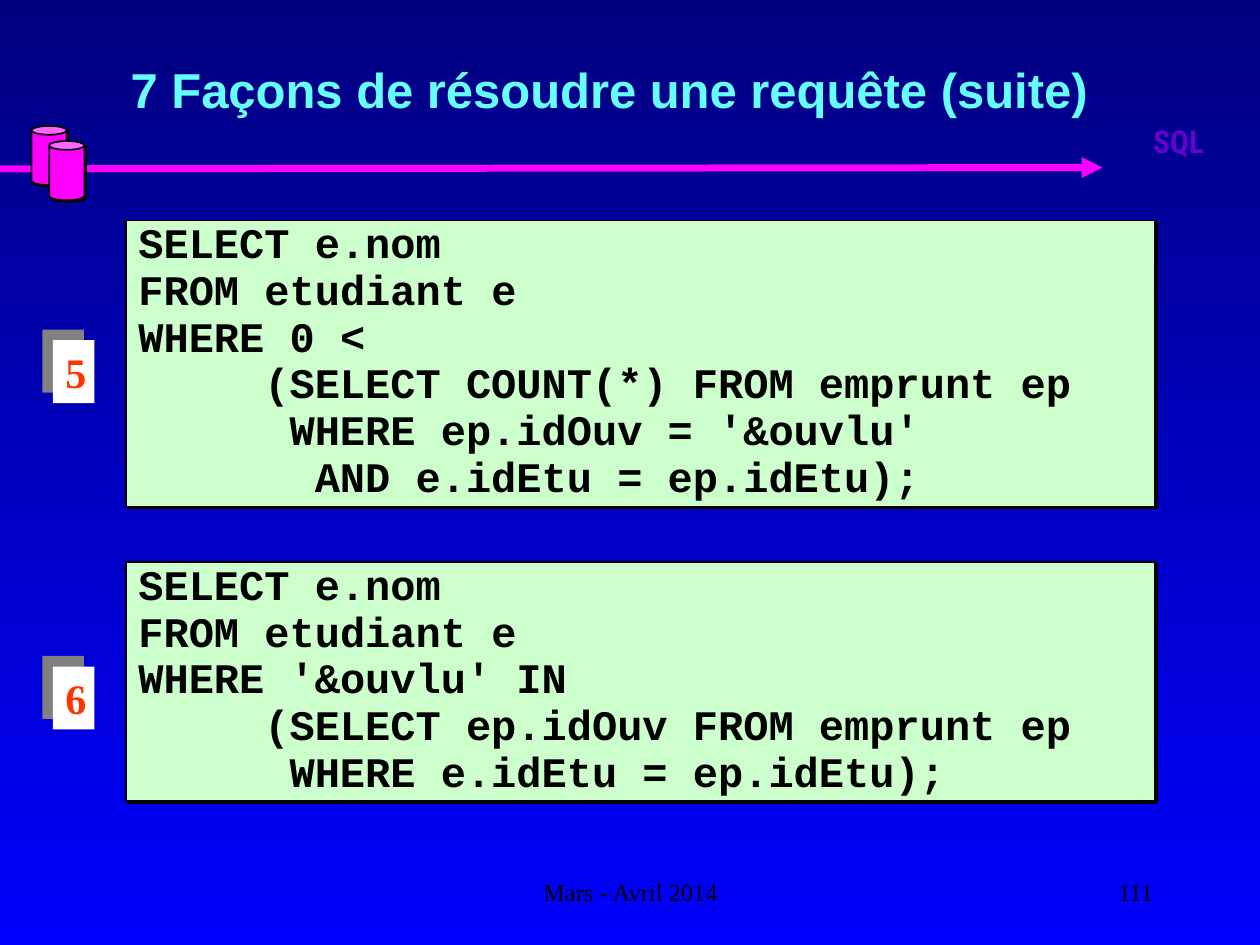
import pptx
import pptx.dml.color
import pptx.enum.shapes
import pptx.enum.text
import pptx.oxml.ns
import pptx.util
from dataclasses import dataclass
from lxml import etree

Inches = pptx.util.Inches
Pt = pptx.util.Pt
Shape = pptx.enum.shapes.MSO_SHAPE
Align = pptx.enum.text.PP_ALIGN
Anchor = pptx.enum.text.MSO_ANCHOR
qn = pptx.oxml.ns.qn


@dataclass(frozen=True)
class Theme:
    sky_top: str = "00007F"
    sky_bottom: str = "0000FF"
    magenta: str = "FF00FF"
    black: str = "000000"
    white: str = "FFFFFF"
    gray: str = "808080"
    code_fill: str = "CCFFCC"
    title: str = "66FFFF"
    number: str = "FF3300"
    tag: str = "6600CC"
    sans: str = "Arial"
    serif: str = "Times New Roman"
    mono: str = "Courier New"
    narrow: str = "Roboto Condensed"
    title_size: int = 28
    body_size: int = 24
    tag_size: int = 18
    footer_size: int = 14


def rgb(color):
    return pptx.dml.color.RGBColor.from_string(color)


class SlideBuilder:
    def __init__(self, page, theme):
        self.page = page
        self.theme = theme

    def background(self):
        fill = self.page.background.fill
        fill.gradient()
        fill.gradient_angle = 270
        colors = (self.theme.sky_top, self.theme.sky_bottom)
        for stop, color in zip(fill.gradient_stops, colors):
            stop.color.rgb = rgb(color)

    def set_text(self, box, text, size, font, color, bold=True,
                 align=Align.LEFT, anchor=Anchor.TOP):
        frame = box.text_frame
        frame.text = text
        frame.word_wrap = True
        frame.vertical_anchor = anchor
        for para in frame.paragraphs:
            para.alignment = align
            for span in para.runs:
                span.font.size = Pt(size)
                span.font.name = font
                span.font.bold = bold
                span.font.color.rgb = rgb(color)
        return frame

    def label(self, place, text, size, font, color, **options):
        box = self.page.shapes.add_textbox(*map(Inches, place))
        self.set_text(box, text, size, font, color, **options)

    def solid(self, shapes, kind, place, fill, shadow, distance, angle,
              outlined=True):
        shape = shapes.add_shape(kind, *map(Inches, place))
        shape.fill.solid()
        shape.fill.fore_color.rgb = rgb(fill)
        if outlined:
            shape.line.color.rgb = rgb(self.theme.black)
            shape.line.width = Pt(1)
        else:
            shape.line.fill.background()
        # Hard offset shadow
        shape.shadow.inherit = False
        effects = shape._element.spPr.find(qn("a:effectLst"))
        outer = etree.SubElement(effects, qn("a:outerShdw"),
                                 dist=str(Pt(distance)),
                                 dir=str(angle * 60000), algn="ctr",
                                 rotWithShape="0")
        etree.SubElement(outer, qn("a:srgbClr"), val=shadow)
        return shape

    def arrow(self, start, end):
        arrow = self.page.shapes.add_connector(
            pptx.enum.shapes.MSO_CONNECTOR.STRAIGHT,
            *map(Inches, start + end))
        arrow.line.color.rgb = rgb(self.theme.magenta)
        arrow.line.width = Pt(4)
        properties = arrow._element.spPr
        etree.SubElement(properties.find(qn("a:ln")), qn("a:tailEnd"),
                         type="triangle")
        etree.SubElement(properties, qn("a:effectLst"))

    def cylinders(self, corners):
        group = self.page.shapes.add_group_shape()
        for left, top in corners:
            self.solid(group.shapes, Shape.CAN, (left, top, 0.28, 0.47),
                       self.theme.magenta, self.theme.black, 1.4, 45)

    def badge(self, top, number):
        theme = self.theme
        box = self.solid(self.page.shapes, Shape.RECTANGLE,
                         (0.42, top, 0.33, 0.5), theme.white, theme.gray,
                         8.5, 225, outlined=False)
        self.set_text(box, number, theme.body_size, theme.serif, theme.number)

    def code(self, top, height, lines):
        theme = self.theme
        box = self.solid(self.page.shapes, Shape.RECTANGLE,
                         (1, top, 8.17, height), theme.code_fill, theme.black,
                         1.4, 45)
        frame = self.set_text(box, "\n".join(lines), theme.body_size,
                              theme.mono, theme.black, anchor=Anchor.MIDDLE)
        frame.margin_top = Inches(0.21)
        frame.margin_bottom = Inches(0.09)
        for index, para in enumerate(frame.paragraphs):
            para.line_spacing = 0.3
            para.space_before = Pt(9 if index else 0)
            para.space_after = Pt(9)
            tabs = etree.SubElement(para._p.get_or_add_pPr(), qn("a:tabLst"))
            etree.SubElement(tabs, qn("a:tab"), pos=str(Inches(1)), algn="l")


def main():
    theme = Theme()
    deck = pptx.Presentation()
    deck.slide_width, deck.slide_height = Inches(10), Inches(7.5)
    page = deck.slides.add_slide(deck.slide_layouts[6])
    slide = SlideBuilder(page, theme)

    # Backdrop and header decoration
    slide.background()
    slide.arrow((-0.01, 1.34), (8.75, 1.33))
    slide.cylinders([(0.25, 1), (0.39, 1.12)])
    slide.label((8.77, 0.92, 1.17, 0.78), "SQL", theme.tag_size, theme.narrow,
                theme.tag, align=Align.CENTER)

    # Footer
    for place, text, align in (
            ((3.42, 6.83, 3.17, 0.5), "Mars - Avril 2014", Align.CENTER),
            ((7.17, 6.83, 2.08, 0.5), "111", Align.RIGHT)):
        slide.label(place, text, theme.footer_size, theme.serif, theme.black,
                    bold=False, align=align, anchor=Anchor.MIDDLE)

    # Title
    slide.label((0.42, 0.08, 8.83, 1.25),
                "7 Façons de résoudre une requête (suite)",
                theme.title_size, theme.sans, theme.title,
                align=Align.CENTER, anchor=Anchor.MIDDLE)

    # Numbered queries
    slide.badge(2.7, "5")
    slide.code(1.75, 2.27, [
        "SELECT e.nom",
        "FROM etudiant e",
        "WHERE 0 <",
        "\t(SELECT COUNT(*) FROM emprunt ep",
        "\t WHERE ep.idOuv = '&ouvlu'",
        "\t  AND e.idEtu = ep.idEtu);"])
    slide.badge(5.29, "6")
    slide.code(4.46, 1.9, [
        "SELECT e.nom",
        "FROM etudiant e",
        "WHERE '&ouvlu' IN",
        "\t(SELECT ep.idOuv FROM emprunt ep",
        "\t WHERE e.idEtu = ep.idEtu);"])

    deck.save("out.pptx")


if __name__ == "__main__":
    main()
